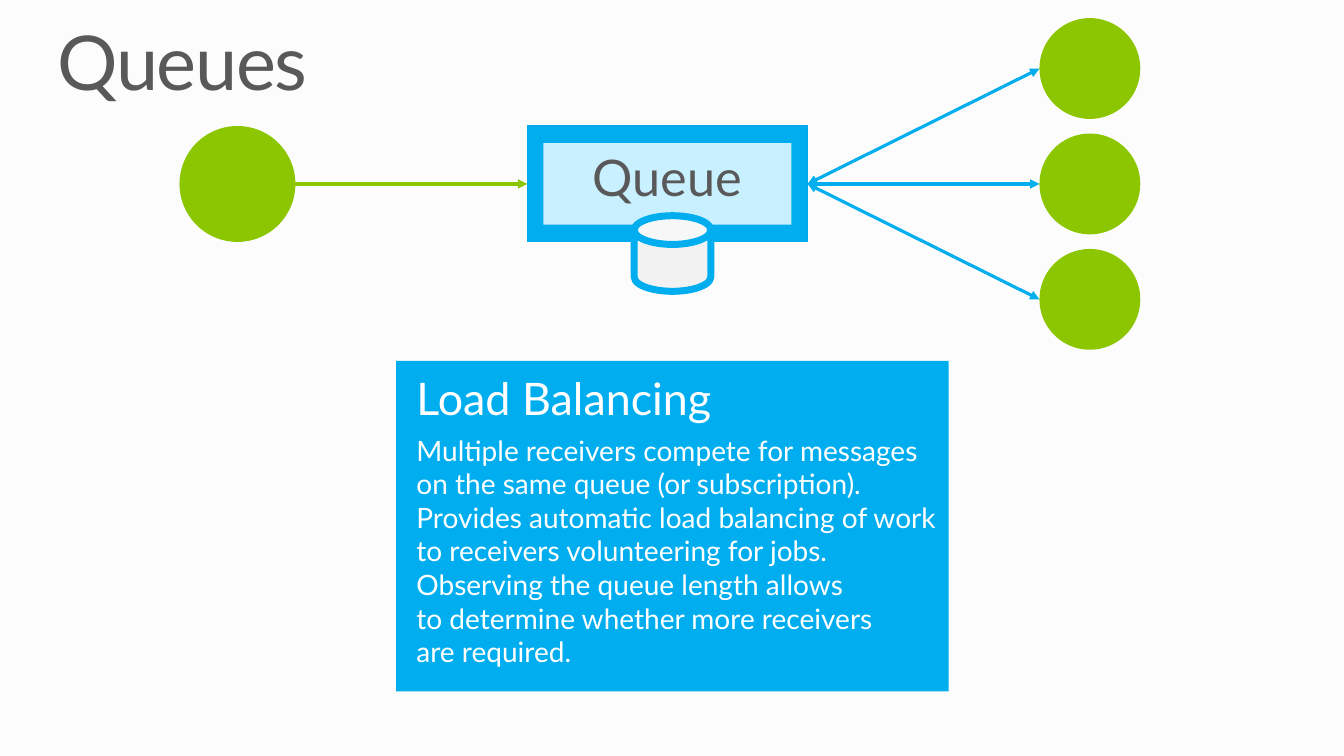
from dataclasses import dataclass

from pptx import Presentation
from pptx.dml.color import RGBColor
from pptx.enum.shapes import MSO_CONNECTOR, MSO_SHAPE
from pptx.enum.text import MSO_ANCHOR, MSO_AUTO_SIZE, PP_ALIGN
from pptx.oxml.xmlchemy import OxmlElement
from pptx.util import Inches, Pt


@dataclass(frozen=True)
class Theme:
    font: str = "Lato"
    back: str = "FCFCFC"
    ink: str = "595959"
    white: str = "FFFFFF"
    blue: str = "00AEEF"
    edge: str = "00AAEA"
    pale: str = "C9F0FF"
    green: str = "8CC600"
    grey: str = "F2F2F2"
    title: int = 54
    label: int = 36
    head: int = 32
    body: int = 20


theme = Theme()


def paint(fill, color):
    fill.solid()
    fill.fore_color.rgb = RGBColor.from_string(color)


def write(shape, lines, sizes, color=theme.ink, align=PP_ALIGN.LEFT,
          anchor=MSO_ANCHOR.TOP, inset=(0, 0, 0, 0), after=(), pitch=None,
          track=None, grow=False):
    frame = shape.text_frame
    frame.word_wrap = True
    frame.auto_size = MSO_AUTO_SIZE.SHAPE_TO_FIT_TEXT if grow else MSO_AUTO_SIZE.NONE
    frame.vertical_anchor = anchor
    (frame.margin_left, frame.margin_top,
     frame.margin_right, frame.margin_bottom) = map(Inches, inset)
    for i, line in enumerate(lines):
        para = frame.paragraphs[0] if i == 0 else frame.add_paragraph()
        para.text = line
        para.alignment = align
        para.space_before = Pt(0)
        para.space_after = Pt(after[i] if i < len(after) else 0)
        if pitch:
            para.line_spacing = pitch
        for run in para.runs:
            run.font.name = theme.font
            run.font.size = Pt(sizes[i])
            run.font.color.rgb = RGBColor.from_string(color)
            if track:
                run._r.get_or_add_rPr().set("spc", str(track * 100))


def draw(slide, kind, box, color, line=None, width=0.75):
    shape = slide.shapes.add_shape(kind, *map(Inches, box))
    shape.shadow.inherit = False
    paint(shape.fill, color)
    if line:
        paint(shape.line.fill, line)
        shape.line.width = Pt(width)
    else:
        shape.line.fill.background()
    return shape


def link(slide, start, end, color, ends):
    wire = slide.shapes.add_connector(
        MSO_CONNECTOR.STRAIGHT, *map(Inches, (*start, *end)))
    paint(wire.line.fill, color)
    wire.line.width = Pt(2.25)
    for end_tag in ends:
        tip = OxmlElement(f"a:{end_tag}")
        tip.set("type", "triangle")
        wire.line._get_or_add_ln().append(tip)
    wire._element.spPr.append(OxmlElement("a:effectLst"))


def add_title(slide, box):
    title = slide.shapes.title
    title.left, title.top, title.width, title.height = map(Inches, box)
    write(title, ["Queues"], [theme.title], pitch=0.9, track=-1, grow=True)


def add_panel(slide, box):
    panel = draw(slide, MSO_SHAPE.RECTANGLE, box, theme.blue)
    lines = [
        "Load Balancing",
        "Multiple receivers compete for messages on the same queue "
        "(or subscription). Provides automatic load balancing of work "
        "to receivers volunteering for jobs.",
        "Observing the queue length allows \vto determine whether more "
        "receivers \vare required.",
    ]
    write(panel, lines, [theme.head, theme.body, theme.body],
          color=theme.white, inset=(0.2, 0.1, 0.1, 0), after=(6,))


def add_queue(slide, box):
    left, top, width, height = box
    draw(slide, MSO_SHAPE.RECTANGLE, box, theme.blue, theme.edge)
    core = draw(slide, MSO_SHAPE.RECTANGLE,
                (left + 0.16, top + 0.17, width - 0.32, height - 0.34), theme.pale)
    write(core, ["Queue"], [theme.label], align=PP_ALIGN.CENTER,
          anchor=MSO_ANCHOR.MIDDLE, inset=(0.1, 0.05, 0.1, 0.2))
    store = draw(slide, MSO_SHAPE.CAN,
                 (left + 1.06, top + 0.89, 0.76, 0.75), theme.grey, theme.blue, 5)
    store.adjustments[0] = 0.38


def add_flow(slide, box):
    left, top, width, height = box
    mid = top + height / 2
    send, take, pitch = 1.15, 1, 1.145
    queue = (left + 3.45, mid - send / 2, 2.78, send)
    port = queue[0] + queue[2]
    goal = left + width - take
    add_queue(slide, queue)
    draw(slide, MSO_SHAPE.OVAL, (left, mid - send / 2, send, send), theme.green)
    link(slide, (left + send, mid), (queue[0], mid), theme.green, ["tailEnd"])
    for step in (-1, 0, 1):
        y = mid + step * pitch
        draw(slide, MSO_SHAPE.OVAL, (goal, y - take / 2, take, take), theme.green)
        link(slide, (port, mid), (goal, y), theme.blue, ["headEnd", "tailEnd"])


def main():
    deck = Presentation()
    deck.slide_width, deck.slide_height = Inches(13.33), Inches(7.5)
    slide = deck.slides.add_slide(deck.slide_layouts[5])
    paint(slide.background.fill, theme.back)
    add_title(slide, (0.57, 0.25, 12.2, 0.82))
    add_panel(slide, (3.93, 3.58, 5.48, 3.28))
    add_flow(slide, (1.78, 0.18, 9.53, 3.29))
    deck.save("out.pptx")


if __name__ == "__main__":
    main()
